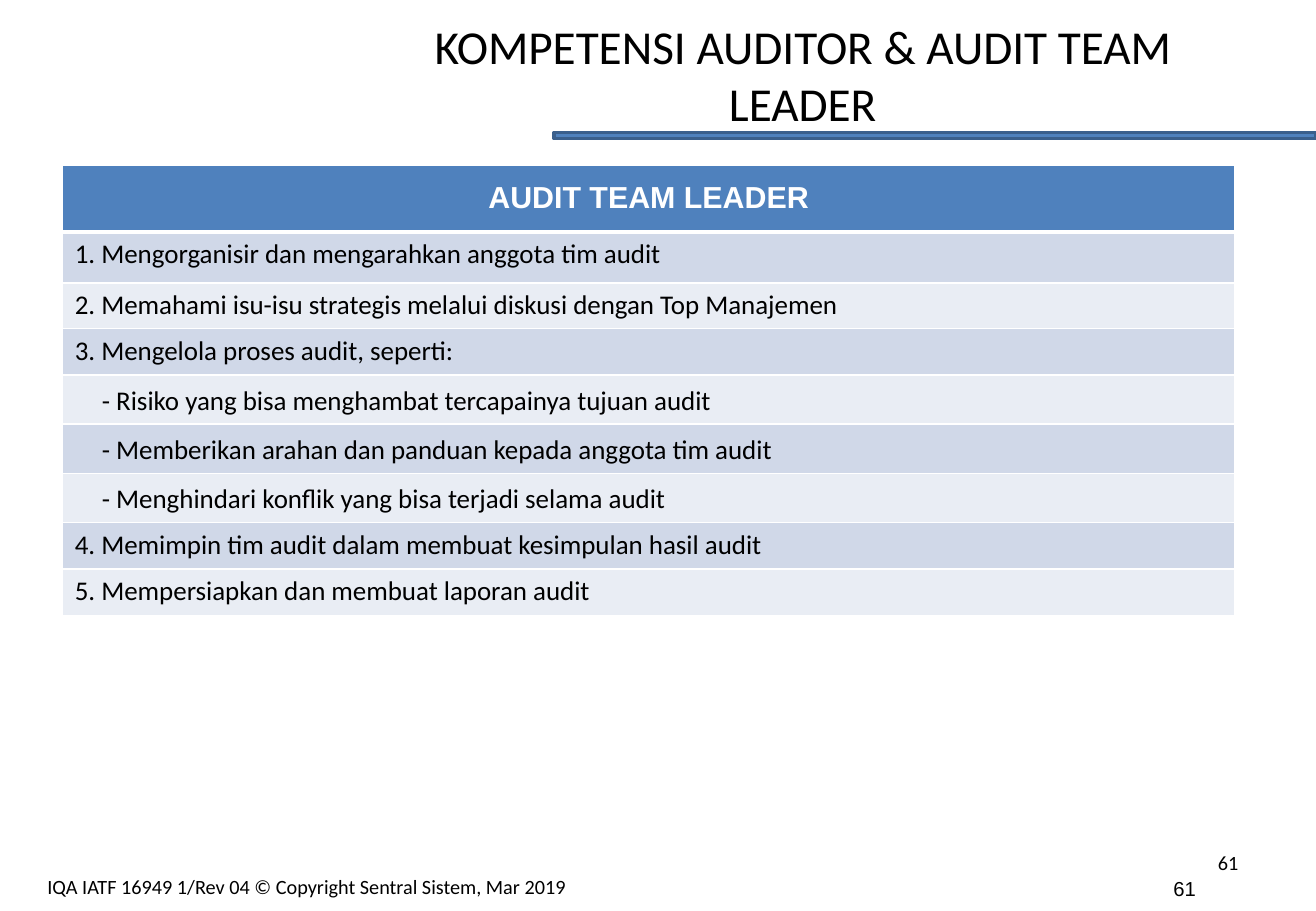
"""Build the slide on auditor and audit team leader competence."""
from lxml.etree import SubElement
from pptx import Presentation
from pptx.dml.color import RGBColor
from pptx.enum.shapes import MSO_SHAPE
from pptx.enum.text import MSO_ANCHOR, PP_ALIGN
from pptx.oxml.ns import qn
from pptx.util import Cm, Pt


def paint(target, colour):
    if hasattr(target, "solid"):
        target.solid()
        target = target.fore_color
    target.rgb = RGBColor.from_string(colour)


def write(frame, text, size, font, align=PP_ALIGN.LEFT, colour="000000", bold=False):
    frame.word_wrap = True
    para = frame.paragraphs[0]
    para.alignment = align
    span = para.add_run()
    span.text = text
    span.font.size = Pt(size)
    span.font.name = font
    span.font.bold = bold
    paint(span.font.color, colour)


deck = Presentation()
deck.slide_width = Cm(27.51)
deck.slide_height = Cm(19.05)
page = deck.slides.add_slide(deck.slide_layouts[6])

labels = [
    ("61", 19.71, 17.65, 6.43, 1.02, 12, "Calibri", PP_ALIGN.RIGHT, MSO_ANCHOR.TOP),
    ("61", 24.28, 18.21, 3, 0.84, 12, "Arial", PP_ALIGN.LEFT, MSO_ANCHOR.TOP),
    ("KOMPETENSI AUDITOR & AUDIT TEAM LEADER", 7.19, 0, 19.18, 3.1, 28,
     "Calibri", PP_ALIGN.CENTER, MSO_ANCHOR.MIDDLE),
    ("IQA IATF 16949 1/Rev 04 © Copyright Sentral Sistem, Mar 2019", 0.74, 18.16,
     15.21, 0.89, 12, "Calibri", PP_ALIGN.LEFT, MSO_ANCHOR.TOP),
]
for text, left, top, width, height, size, font, align, anchor in labels:
    box = page.shapes.add_textbox(Cm(left), Cm(top), Cm(width), Cm(height))
    box.text_frame.vertical_anchor = anchor
    write(box.text_frame, text, size, font, align)

rule = page.shapes.add_shape(MSO_SHAPE.RECTANGLE, Cm(11.58), Cm(2.77), Cm(15.93), Cm(0.13))
rule.shadow.inherit = False
paint(rule.fill, "4F81BD")
paint(rule.line.fill, "3A5F8C")
rule.line.width = Pt(2)

duties = [
    ("AUDIT TEAM LEADER", 1.4),
    ("1. Mengorganisir dan mengarahkan anggota tim audit", 1.07),
    ("2. Memahami isu-isu strategis melalui diskusi dengan Top Manajemen", 0.95),
    ("3. Mengelola proses audit, seperti:", 0.97),
    ("- Risiko yang bisa menghambat tercapainya tujuan audit", 1.03),
    ("- Memberikan arahan dan panduan kepada anggota tim audit", 1.03),
    ("- Menghindari konflik yang bisa terjadi selama audit", 1.03),
    ("4. Memimpin tim audit dalam membuat kesimpulan hasil audit", 0.97),
    ("5. Mempersiapkan dan membuat laporan audit", 0.97),
]
total = sum(height for text, height in duties)
table = page.shapes.add_table(len(duties), 1, Cm(1.31), Cm(3.45), Cm(24.5), Cm(total)).table
for index, (text, height) in enumerate(duties):
    table.rows[index].height = Cm(height)
    cell = table.cell(index, 0)
    properties = cell._tc.get_or_add_tcPr()
    weights = {"L": 1, "R": 1, "T": 3 if index == 1 else 1, "B": 3 if index == 0 else 1}
    for side, weight in weights.items():
        border = SubElement(properties, qn(f"a:ln{side}"), w=str(Pt(weight)))
        fill = SubElement(border, qn("a:solidFill"))
        SubElement(fill, qn("a:srgbClr"), val="FFFFFF")
    if index == 0:
        paint(cell.fill, "4F81BD")
        cell.vertical_anchor = MSO_ANCHOR.MIDDLE
        write(cell.text_frame, text, 18, "Arial", PP_ALIGN.CENTER, "FFFFFF", True)
    else:
        paint(cell.fill, "D0D8E8" if index % 2 else "E9EDF4")
        if text.startswith("-"):
            cell.margin_left = Cm(0.82)
            cell.margin_top = Cm(0.2)
        write(cell.text_frame, text, 16, "Calibri")

deck.save("out.pptx")
